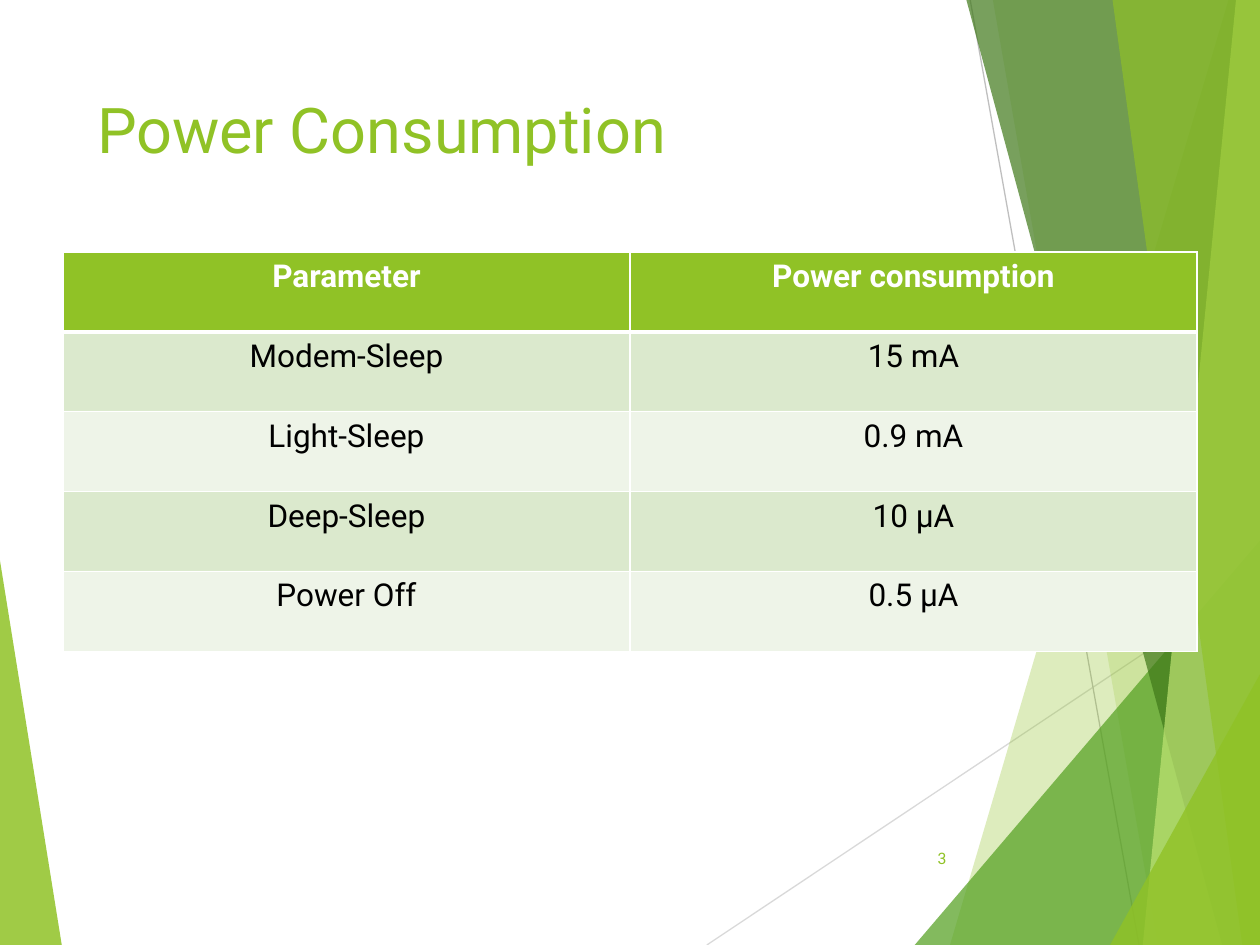
from pptx import Presentation
from pptx.dml.color import RGBColor
from pptx.enum.shapes import MSO_CONNECTOR
from pptx.enum.text import MSO_ANCHOR, PP_ALIGN
from pptx.oxml.ns import qn
from pptx.util import Inches, Pt
from lxml.etree import SubElement

LIME = RGBColor(0x90, 0xC2, 0x26)
GREEN = RGBColor(0x54, 0xA0, 0x21)
DARK = RGBColor(0x3F, 0x78, 0x19)
PALE = RGBColor(0xC0, 0xE4, 0x74)
BAND = RGBColor(0xDB, 0xE9, 0xCD)
LIGHT = RGBColor(0xEE, 0xF4, 0xE8)
WHITE = RGBColor(0xFF, 0xFF, 0xFF)
BLACK = RGBColor(0, 0, 0)
SILVER = RGBColor(0xD9, 0xD9, 0xD9)
GRAY = RGBColor(0xBF, 0xBF, 0xBF)
FONT = "Roboto"
W, H = 10, 7.5

deck = Presentation()
deck.slide_width, deck.slide_height = Inches(W), Inches(H)
slide = deck.slides.add_slide(deck.slide_layouts[5])
shapes = slide.shapes


def style(para, size, color, align, bold=False):
    para.alignment = align
    font = para.runs[0].font
    font.name, font.size, font.bold = FONT, Pt(size), bold
    font.color.rgb = color


def facet(points, color, alpha):
    spots = [(Inches(x), Inches(y)) for x, y in points]
    pen = shapes.build_freeform(*spots[0])
    pen.add_line_segments(spots[1:], close=True)
    shape = pen.convert_to_shape()
    shape.shadow.inherit = False
    shape.line.fill.background()
    shape.fill.solid()
    shape.fill.fore_color.rgb = color
    tint = shape._element.spPr.find(qn("a:solidFill"))[0]
    SubElement(tint, qn("a:alpha")).set("val", str(alpha * 1000))


# Left facet and thin lines
facet([(0, 4.45), (0.49, H), (0, H)], LIME, 85)
for x1, y1, x2, y2, color in [(5.61, H, W, 4.57, SILVER),
                              (7.7, 0, 9.04, H, GRAY)]:
    line = shapes.add_connector(MSO_CONNECTOR.STRAIGHT, Inches(x1), Inches(y1),
                                Inches(x2), Inches(y2))
    line.line.color.rgb = color
    line.line.width = Pt(0.75)
    SubElement(line._element.spPr, qn("a:effectLst"))

# Right facets: top and bottom of the slanted edge, out to the slide's side
for x1, y1, x2, color, alpha in [
    (9.75, 0, 7.54, LIME, 30),
    (7.88, 0, 9.19, LIME, 20),
    (W, 4.29, 7.26, GREEN, 72),
    (7.67, 0, 9.7, DARK, 70),
    (9.81, 0, 9.07, PALE, 70),
    (8.83, 0, 9.86, LIME, 65),
    (W, 5.35, 8.81, LIME, 80),
]:
    edge = [(x1, y1), (x2, H), (W, H)]
    facet(edge + [(W, y1)] if x1 < W else edge, color, alpha)

# Title, in front of the facets
title = shapes.title
title.left, title.top = Inches(0.67), Inches(0.67)
title.width, title.height = Inches(6.94), Inches(1.44)
title.text_frame.text = "Power Consumption"
title.text_frame.vertical_anchor = MSO_ANCHOR.TOP
style(title.text_frame.paragraphs[0], 36, LIME, PP_ALIGN.LEFT)
title._element.getparent().append(title._element)

# Table
rows = [("Parameter", "Power consumption"),
        ("Modem-Sleep", "15 mA"),
        ("Light-Sleep", "0.9 mA"),
        ("Deep-Sleep", "10 µA"),
        ("Power Off", "0.5 µA")]
table = shapes.add_table(len(rows), 2, Inches(0.05 * W), Inches(2),
                         Inches(0.9 * W), Inches(3.17)).table
for r, row in enumerate(rows):
    head = r == 0
    for c, text in enumerate(row):
        cell = table.cell(r, c)
        cell.text_frame.text = text
        style(cell.text_frame.paragraphs[0], 18, WHITE if head else BLACK,
              PP_ALIGN.CENTER, head)
        # Borders come before the fill
        props = cell._tc.get_or_add_tcPr()
        for side in ("lnL", "lnR", "lnT", "lnB"):
            thick = (head and side == "lnB") or (r == 1 and side == "lnT")
            rule = SubElement(props, qn("a:" + side), w=str(Pt(3 if thick else 1)))
            paint = SubElement(rule, qn("a:solidFill"))
            SubElement(paint, qn("a:srgbClr"), val=str(WHITE))
        cell.fill.solid()
        cell.fill.fore_color.rgb = LIME if head else BAND if r % 2 else LIGHT

# Slide number
box = shapes.add_textbox(Inches(7.05), Inches(6.61), Inches(0.56), Inches(0.4))
frame = box.text_frame
frame.word_wrap = True
frame.vertical_anchor = MSO_ANCHOR.MIDDLE
frame.text = "3"
style(frame.paragraphs[0], 9, LIME, PP_ALIGN.RIGHT)

deck.save("out.pptx")
